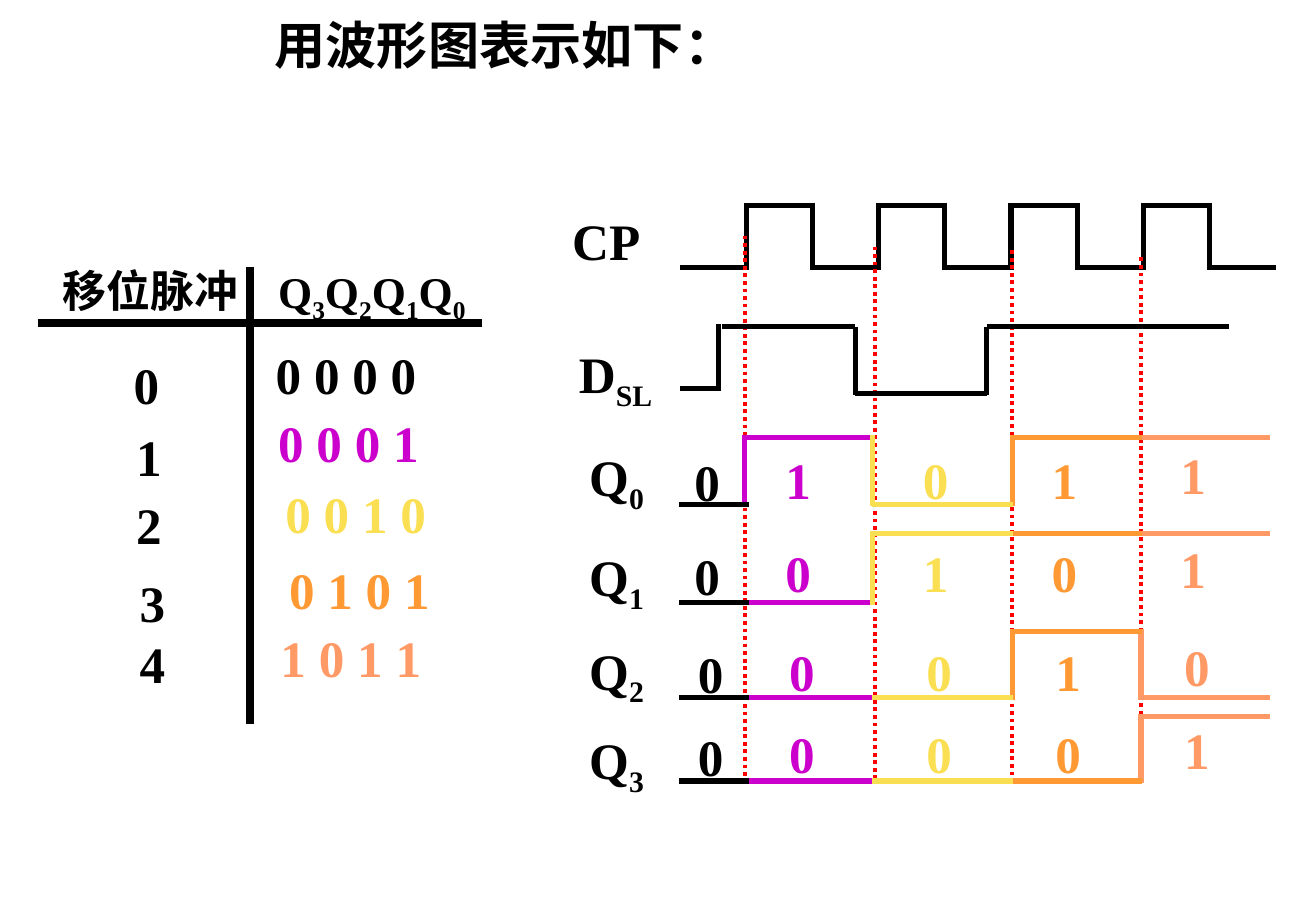
from pptx import Presentation
from pptx.dml.color import RGBColor
from pptx.enum.dml import MSO_LINE
from pptx.enum.shapes import MSO_CONNECTOR
from pptx.enum.text import MSO_ANCHOR, MSO_AUTO_SIZE, PP_ALIGN
from pptx.oxml.ns import qn
from pptx.util import Inches, Pt
from lxml.etree import SubElement

deck = Presentation()
deck.slide_width = Inches(10.83)
deck.slide_height = Inches(7.5)
slide = deck.slides.add_slide(deck.slide_layouts[5])
shapes = slide.shapes

BLACK, RED = "000000", "FF0000"
hues = [BLACK, "CC00CC", "FBDF53", "FF9933", "FF9966"]


def write(x, y, wide, text, hue=BLACK, size=30.3, align=PP_ALIGN.LEFT, box=None):
    box = box or shapes.add_textbox(0, 0, 0, 0)
    box.left, box.top = Inches(x), Inches(y)
    box.width, box.height = Inches(wide), Inches(0.61)
    frame = box.text_frame
    frame.word_wrap = True
    frame.auto_size = MSO_AUTO_SIZE.NONE
    frame.vertical_anchor = MSO_ANCHOR.TOP
    frame.margin_top = Inches(0.09)
    frame.margin_bottom = 0
    para = frame.paragraphs[0]
    para.alignment = align
    for num, part in enumerate(text.split("_")):
        run = para.add_run()
        run.text = part
        font = run.font
        font.name, font.size, font.bold = "Times New Roman", Pt(size), True
        font.color.rgb = RGBColor.from_string(hue)
        if num % 2:
            run._r.get_or_add_rPr().set("baseline", "-25000")


def draw(x1, y1, x2, y2, hue=BLACK, width=3, dash=None):
    line = shapes.add_connector(
        MSO_CONNECTOR.STRAIGHT, Inches(x1), Inches(y1), Inches(x2), Inches(y2))
    line.line.color.rgb = RGBColor.from_string(hue)
    line.line.width = Pt(width)
    if dash:
        line.line.dash_style = dash
    SubElement(line._element.spPr, qn("a:effectLst"))


write(2.16, 0.02, 5.67, "用波形图表示如下：", box=shapes.title)

write(4.61, 1.63, 1.08, "CP")
step = 0.545
for num in range(9):
    left = 5.595 + num * step
    level = 1.69 if num % 2 else 2.2
    draw(left, level, left + step, level)
    if num:
        draw(left, 1.67, left, 2.22)

for x, top in [(6.13, 1.94), (7.2, 2.03), (8.33, 2.06), (9.39, 2.12)]:
    draw(x, top, x, 6.41, RED, 2.25, MSO_LINE.ROUND_DOT)

write(4.33, 2.73, 1.47, "D_SL", align=PP_ALIGN.CENTER)
for x1, x2, y in [(5.6, 5.92, 3.2), (5.94, 7.04, 2.69), (7.04, 8.12, 3.24), (8.12, 10.11, 2.69)]:
    draw(x1, y, x2, y)
for x, top, end in [(5.91, 2.67, 3.22), (7.04, 2.69, 3.25), (8.12, 2.69, 3.25)]:
    draw(x, top, x, end)

spans = [(5.59, 6.16), (6.13, 7.2), (7.18, 8.34), (8.33, 9.4), (9.39, 10.45)]
cells = [(5.57, 0.02), (6.32, 0), (7.45, 0), (8.51, 0), (9.57, -0.04)]
waves = [
    ("Q_0", 3.58, 3.6, 4.15, "01011", "01011", 5.57),
    ("Q_1", 4.4, 4.39, 4.96, "00111", "00101", 5.57),
    ("Q_2", 5.17, 5.2, 5.74, "00010", "00010", 5.6),
    ("Q_3", 5.91, 5.9, 6.43, "00001", "00001", 5.6),
]
digit_tops = [3.6, 4.37, 5.18, 5.86]
for (name, top, high, low, state, bits, start), row in zip(waves, digit_tops):
    write(4.75, top, 0.92, name)
    for col in [1, 0, 4, 3, 2]:
        left, right = spans[col]
        level = high if state[col] == "1" else low
        draw(left, level, right, level, hues[col])
        if col and state[col] != state[col - 1]:
            draw(left, high - 0.02, left, low + 0.02, hues[col])
    for (x, shift), bit, hue in zip(cells, bits, hues):
        write(x + start - 5.57, row + shift, 0.5, bit, hue, align=PP_ALIGN.CENTER)

write(0, 2.08, 2.48, "移位脉冲", size=26, align=PP_ALIGN.CENTER)
write(2.19, 2.09, 2.02, "Q_3_Q_2_Q_1_Q_0", size=26)
draw(2.06, 2.2, 2.06, 5.96, width=4.5)
draw(0.31, 2.66, 3.97, 2.66, width=4.5)
rows = [
    (0.88, 2.82, 2.17, 2.74, "0 0 0 0"),
    (0.9, 3.41, 2.19, 3.3, "0 0 0 1"),
    (0.9, 3.97, 2.25, 3.88, "0 0 1 0"),
    (0.93, 4.61, 2.28, 4.51, "0 1 0 1"),
    (0.93, 5.12, 2.21, 5.07, "1 0 1 1"),
]
for pulse, (x, y, left, top, code) in enumerate(rows):
    write(x, y, 0.65, str(pulse), align=PP_ALIGN.CENTER)
    write(left, top, 2.09, code, hues[pulse])

deck.save("out.pptx")
